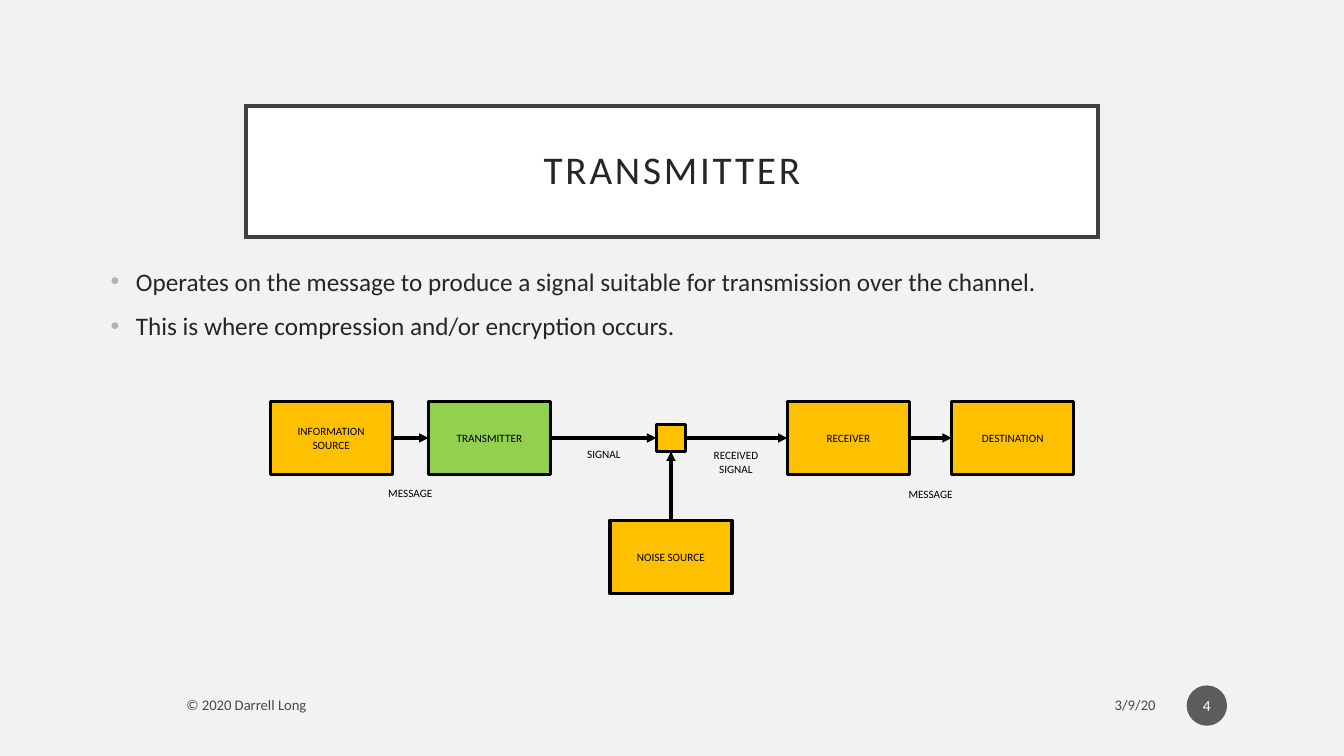
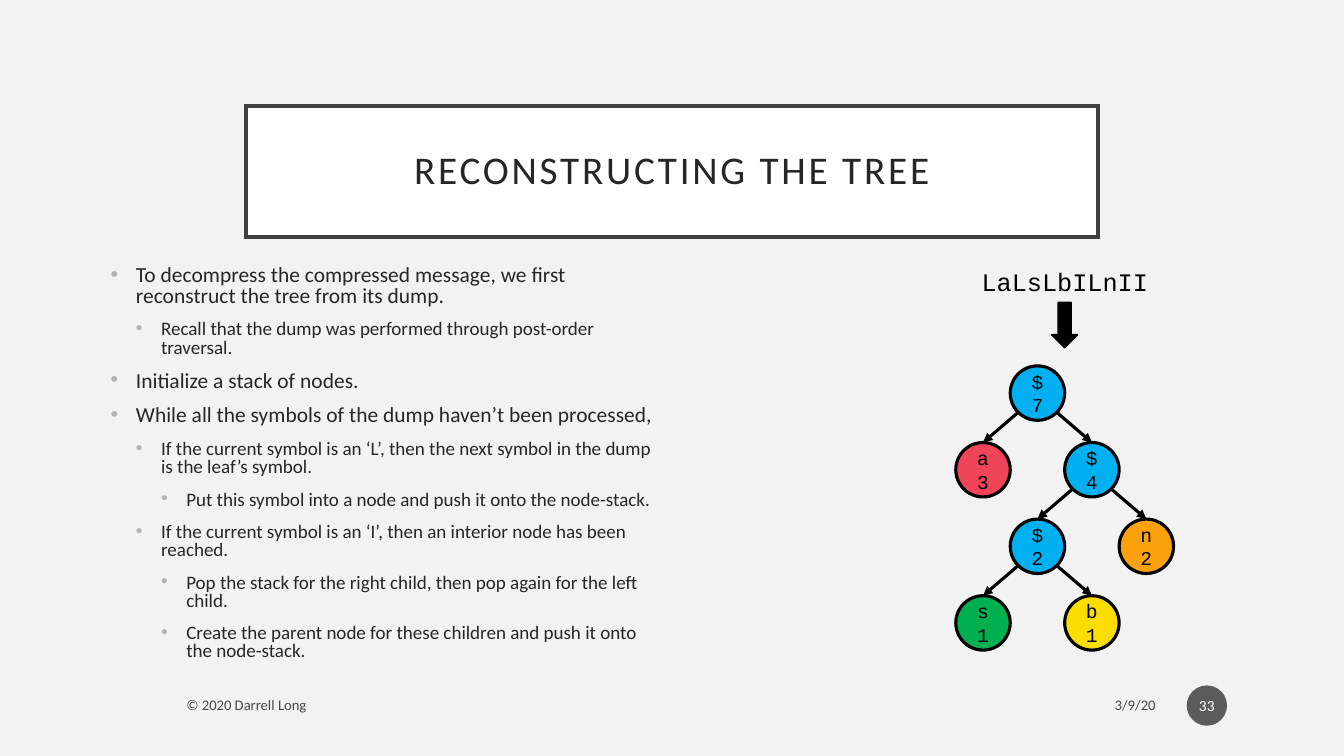
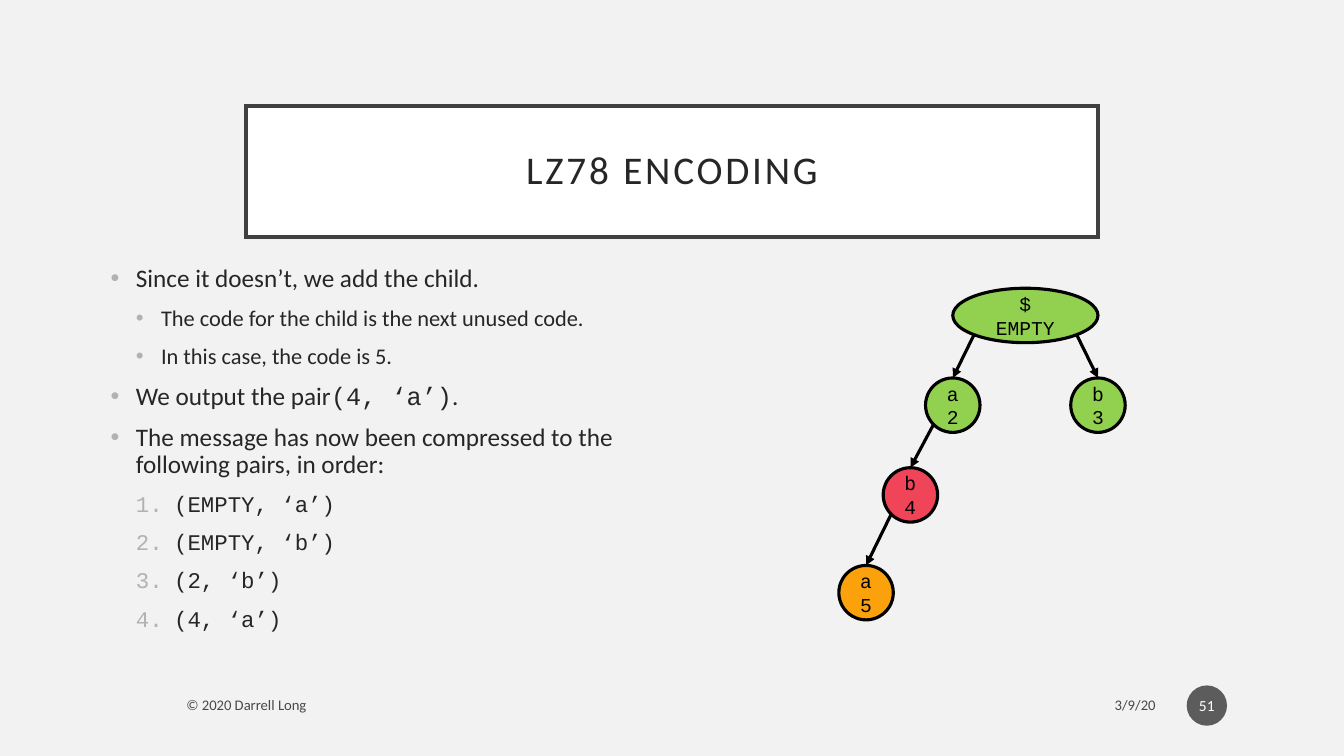
from dataclasses import dataclass

import pptx
import pptx.dml.color
import pptx.enum.dml
import pptx.enum.shapes
import pptx.enum.text
import pptx.oxml
import pptx.oxml.ns
import pptx.shapes.autoshape
import pptx.shapes.connector
import pptx.slide
import pptx.util
from lxml import etree
from pptx.util import Inches

COLORS = {
    "background": "F2F2F2",
    "white": "FFFFFF",
    "black": "000000",
    "frame": "404040",
    "text": "262626",
    "bullet": "B2B2B2",
    "badge": "1D1D1D",
    "amber": "FFC000",
    "lime": "92D050",
    "red": "F04458",
    "orange": "FAA10C",
    "yellow": "FBDE00",
    "green": "00B050",
    "blue": "00B0F0",
}
SANS = "Calibri"
MONO = "Courier New"
NODE_SIZE = 0.54
SHAPES = pptx.enum.shapes.MSO_SHAPE
ALIGN = pptx.enum.text.PP_ALIGN
MIDDLE = pptx.enum.text.MSO_ANCHOR.MIDDLE
Page = pptx.slide.Slide
Shape = pptx.shapes.autoshape.Shape
Connector = pptx.shapes.connector.Connector


@dataclass(frozen=True)
class Area:
    left: float
    top: float
    width: float
    height: float

    def lengths(self) -> list[int]:
        return [Inches(value) for value in (self.left, self.top, self.width, self.height)]


@dataclass(frozen=True)
class Point:
    text: str
    level: int = 0
    numbered: bool = False


@dataclass(frozen=True)
class Block:
    name: str
    text: str
    area: Area
    fill: str = "amber"


@dataclass(frozen=True)
class Link:
    source: str
    source_side: int
    target: str
    target_side: int


@dataclass(frozen=True)
class Node:
    label: str
    left: float
    top: float
    fill: str
    parent: str = ""
    width: float = NODE_SIZE


def add_element(parent: etree._Element, tag: str, **attributes: str) -> etree._Element:
    element = etree.SubElement(parent, pptx.oxml.ns.qn(tag))
    for name, value in attributes.items():
        element.set(name, value)
    return element


def rgb(color: str) -> pptx.dml.color.RGBColor:
    return pptx.dml.color.RGBColor.from_string(COLORS[color])


def set_opacity(fill_owner: etree._Element, percent: int) -> None:
    color = fill_owner.find(pptx.oxml.ns.qn("a:solidFill"))[0]
    add_element(color, "a:alpha", val=str(percent * 1000))


def write(box: Shape, text: str, *, size: float, font: str = SANS, color: str = "black",
          align: ALIGN = ALIGN.LEFT, line_spacing: float = 1.0, letter_spacing: float = 0,
          opacity: int = 100, points: tuple[Point, ...] = (), sizes: tuple[float, ...] = ()) -> None:
    frame = box.text_frame
    frame.word_wrap = True
    lines = points or tuple(Point(line) for line in text.split("\n"))
    for index, line in enumerate(lines):
        para = frame.add_paragraph() if index else frame.paragraphs[0]
        para.alignment = align
        para.line_spacing = line_spacing
        para.space_before = pptx.util.Pt(10 if points and index else 0)
        if points:
            add_bullet(para, line)
        for part, content in enumerate(line.text.split("`")):
            if not content:
                continue
            span = para.add_run()
            span.text = content
            span.font.name = MONO if part % 2 else font
            span.font.size = pptx.util.Pt(sizes[line.level] if sizes else size)
            span.font.color.rgb = rgb(color)
            properties = span.font._element
            if letter_spacing:
                properties.set("spc", str(int(letter_spacing * 100)))
            if opacity < 100:
                set_opacity(properties, opacity)


def add_bullet(para: pptx.text.text._Paragraph, point: Point) -> None:
    para.level = point.level
    hanging = 0.38 if point.numbered else 0.25
    properties = para._p.get_or_add_pPr()
    properties.set("marL", str(Inches(0.25 * point.level + hanging)))
    properties.set("indent", str(-Inches(hanging)))
    color = add_element(properties, "a:buClr")
    add_element(color, "a:srgbClr", val=COLORS["bullet"])
    if point.numbered:
        add_element(properties, "a:buFont", typeface=MONO)
        add_element(properties, "a:buAutoNum", type="arabicPeriod")
    else:
        add_element(properties, "a:buFont", typeface="Arial")
        add_element(properties, "a:buChar", char="•")


def set_margins(box: Shape, horizontal: float, vertical: float) -> None:
    frame = box.text_frame
    frame.margin_left = frame.margin_right = Inches(horizontal)
    frame.margin_top = frame.margin_bottom = Inches(vertical)


def add_shape(page: Page, kind: SHAPES, area: Area, fill: str, line_width: float = 2.25) -> Shape:
    shape = page.shapes.add_shape(kind, *area.lengths())
    shape.shadow.inherit = False
    shape.fill.solid()
    shape.fill.fore_color.rgb = rgb(fill)
    if line_width:
        shape.line.color.rgb = rgb("black")
        shape.line.width = pptx.util.Pt(line_width)
    else:
        shape.line.fill.background()
    shape.text_frame.vertical_anchor = MIDDLE
    return shape


def add_label(page: Page, area: Area) -> Shape:
    return page.shapes.add_textbox(*area.lengths())


def add_arrow(page: Page, start: tuple[float, float] = (0, 0),
              end: tuple[float, float] = (0, 0)) -> Connector:
    arrow = page.shapes.add_connector(
        pptx.enum.shapes.MSO_CONNECTOR.STRAIGHT, *(Inches(value) for value in (*start, *end)))
    arrow.line.color.rgb = rgb("black")
    arrow.line.width = pptx.util.Pt(2.25)
    add_element(arrow.line._get_or_add_ln(), "a:tailEnd", type="triangle")
    add_element(arrow._element.spPr, "a:effectLst")
    return arrow


def add_page(deck: pptx.presentation.Presentation, title: str, number: int) -> Page:
    page = deck.slides.add_slide(deck.slide_layouts.get_by_name("Title Only"))
    heading = page.shapes.title
    heading.left, heading.top, heading.width, heading.height = Area(2.44, 1.05, 8.45, 1.3).lengths()
    heading.fill.solid()
    heading.fill.fore_color.rgb = rgb("white")
    heading.line.color.rgb = rgb("frame")
    heading.line.width = pptx.util.Pt(2.5)
    add_element(heading.line._get_or_add_ln(), "a:miter", lim="800000")
    heading.text_frame.auto_size = pptx.enum.text.MSO_AUTO_SIZE.NONE
    heading.text_frame.vertical_anchor = MIDDLE
    set_margins(heading, 0.2, 0.2)
    write(heading, title, size=28, color="text", align=ALIGN.CENTER,
          line_spacing=0.9, letter_spacing=2)

    footers = (("3/9/20", Area(8.55, 6.82, 3.01, 0.35), ALIGN.RIGHT),
               ("© 2020 Darrell Long", Area(1.75, 6.82, 6.45, 0.35), ALIGN.LEFT))
    for text, area, align in footers:
        footer = add_label(page, area)
        footer.text_frame.vertical_anchor = MIDDLE
        write(footer, text, size=10.5, align=align, opacity=70)

    badge = add_shape(page, SHAPES.OVAL, Area(11.77, 6.8, 0.4, 0.4), "badge", line_width=0)
    set_opacity(badge._element.spPr, 70)
    set_margins(badge, 0.02, 0.05)
    write(badge, str(number), size=11, color="white", align=ALIGN.CENTER)
    return page


def add_points(page: Page, area: Area, points: tuple[Point, ...], sizes: tuple[float, ...],
               line_spacing: float) -> None:
    write(add_label(page, area), "", size=sizes[0], color="text", points=points,
          sizes=sizes, line_spacing=line_spacing)


def add_tree(page: Page, nodes: tuple[Node, ...]) -> None:
    places = {node.label: node for node in nodes}
    diagonal = 0.5 ** 0.5
    for node in nodes:
        area = Area(node.left, node.top, node.width, NODE_SIZE)
        oval = add_shape(page, SHAPES.OVAL, area, node.fill)
        write(oval, node.label.replace(" ", "\n"), size=14, font=MONO, align=ALIGN.CENTER)
        if node.parent:
            parent = places[node.parent]
            center = parent.left + parent.width / 2
            side = 1 if node.left + node.width / 2 > center else -1
            start = (center + side * diagonal * parent.width / 2,
                     parent.top + (1 + diagonal) * NODE_SIZE / 2)
            add_arrow(page, start, start).end_connect(oval, 0)


def build_transmitter(deck: pptx.presentation.Presentation) -> None:
    page = add_page(deck, "TRANSMITTER", 4)
    add_points(page, Area(1, 2.59, 11.33, 3.74), (
        Point("Operates on the message to produce a signal suitable for transmission over the channel."),
        Point("This is where compression and/or encryption occurs."),
    ), (18,), 1.0)

    width, height, top = 1.21, 0.73, 3.98
    blocks = (
        Block("source", "INFORMATION\nSOURCE", Area(2.68, top, width, height)),
        Block("transmitter", "TRANSMITTER", Area(4.25, top, width, height), "lime"),
        Block("receiver", "RECEIVER", Area(7.81, top, width, height)),
        Block("destination", "DESTINATION", Area(9.44, top, width, height)),
        Block("noise", "NOISE SOURCE", Area(6.05, 5.16, width, height)),
        Block("channel", "", Area(6.51, 4.21, 0.29, 0.27)),
    )
    boxes = {}
    for block in blocks:
        boxes[block.name] = add_shape(page, SHAPES.RECTANGLE, block.area, block.fill)
        if block.text:
            write(boxes[block.name], block.text, size=8, align=ALIGN.CENTER)

    links = (
        Link("source", 3, "transmitter", 1),
        Link("transmitter", 3, "channel", 1),
        Link("channel", 3, "receiver", 1),
        Link("receiver", 3, "destination", 1),
        Link("noise", 0, "channel", 2),
    )
    for link in links:
        arrow = add_arrow(page)
        arrow.begin_connect(boxes[link.source], link.source_side)
        arrow.end_connect(boxes[link.target], link.target_side)

    labels = (("MESSAGE", 3.63, 4.78, 0.27), ("MESSAGE", 8.79, 4.79, 0.27),
              ("SIGNAL", 5.55, 4.39, 0.27), ("RECEIVED\nSIGNAL", 6.86, 4.4, 0.43))
    for text, left, label_top, label_height in labels:
        write(add_label(page, Area(left, label_top, 0.88, label_height)), text,
              size=8, align=ALIGN.CENTER)


def build_reconstruction(deck: pptx.presentation.Presentation) -> None:
    page = add_page(deck, "RECONSTRUCTING THE TREE", 33)
    add_points(page, Area(1, 2.59, 5.67, 4.34), (
        Point("To decompress the compressed message, we first reconstruct the tree from its dump."),
        Point("Recall that the dump was performed through post-order traversal.", 1),
        Point("Initialize a stack of nodes."),
        Point("While all the symbols of the dump haven’t been processed,"),
        Point("If the current symbol is an ‘L’, then the next symbol in the dump is the leaf’s symbol.", 1),
        Point("Put this symbol into a node and push it onto the node-stack.", 2),
        Point("If the current symbol is an ‘I’, then an interior node has been reached.", 1),
        Point("Pop the stack for the right child, then pop again for the left child.", 2),
        Point("Create the parent node for these children and push it onto the node-stack.", 2),
    ), (15.3, 13.6, 13.6), 0.8)

    write(add_label(page, Area(9.15, 2.59, 2.82, 0.4)), "LaLsLbILnII",
          size=18, font=MONO, align=ALIGN.CENTER)
    add_shape(page, SHAPES.DOWN_ARROW, Area(10.43, 3, 0.26, 0.45), "black", line_width=1)

    columns = [9.48 + NODE_SIZE * column for column in range(4)]
    rows = [3.63 + 0.76 * row for row in range(4)]
    add_tree(page, (
        Node("$ 7", columns[1], rows[0], "blue"),
        Node("a 3", columns[0], rows[1], "red", "$ 7"),
        Node("$ 4", columns[2], rows[1], "blue", "$ 7"),
        Node("$ 2", columns[1], rows[2], "blue", "$ 4"),
        Node("n 2", columns[3], rows[2], "orange", "$ 4"),
        Node("s 1", columns[0], rows[3], "green", "$ 2"),
        Node("b 1", columns[2], rows[3], "yellow", "$ 2"),
    ))


def build_encoding(deck: pptx.presentation.Presentation) -> None:
    page = add_page(deck, "LZ78 ENCODING", 51)
    pairs = ("(EMPTY, ‘a’)", "(EMPTY, ‘b’)", "(2, ‘b’)", "(4, ‘a’)")
    add_points(page, Area(1, 2.59, 5.67, 3.74), (
        Point("Since it doesn’t, we add the child."),
        Point("The code for the child is the next unused code.", 1),
        Point("In this case, the code is 5.", 1),
        Point("We output the pair`(4, ‘a’)`."),
        Point("The message has now been compressed to the following pairs, in order:"),
        *(Point(f"`{pair}`", 1, numbered=True) for pair in pairs),
    ), (18, 16), 0.9)

    add_tree(page, (
        Node("$ EMPTY", 9.45, 2.86, "lime", width=1.44),
        Node("a 2", 9.18, 3.75, "lime", "$ EMPTY"),
        Node("b 3", 10.62, 3.75, "lime", "$ EMPTY"),
        Node("b 4", 8.76, 4.64, "red", "a 2"),
        Node("a 5", 8.32, 5.61, "orange", "b 4"),
    ))


def main() -> None:
    deck = pptx.Presentation()
    deck.slide_width = Inches(13.33)
    deck.slide_height = Inches(7.5)
    background = deck.slide_master.background.fill
    background.solid()
    background.fore_color.rgb = rgb("background")
    build_transmitter(deck)
    build_reconstruction(deck)
    build_encoding(deck)
    deck.save("out.pptx")


if __name__ == "__main__":
    main()
